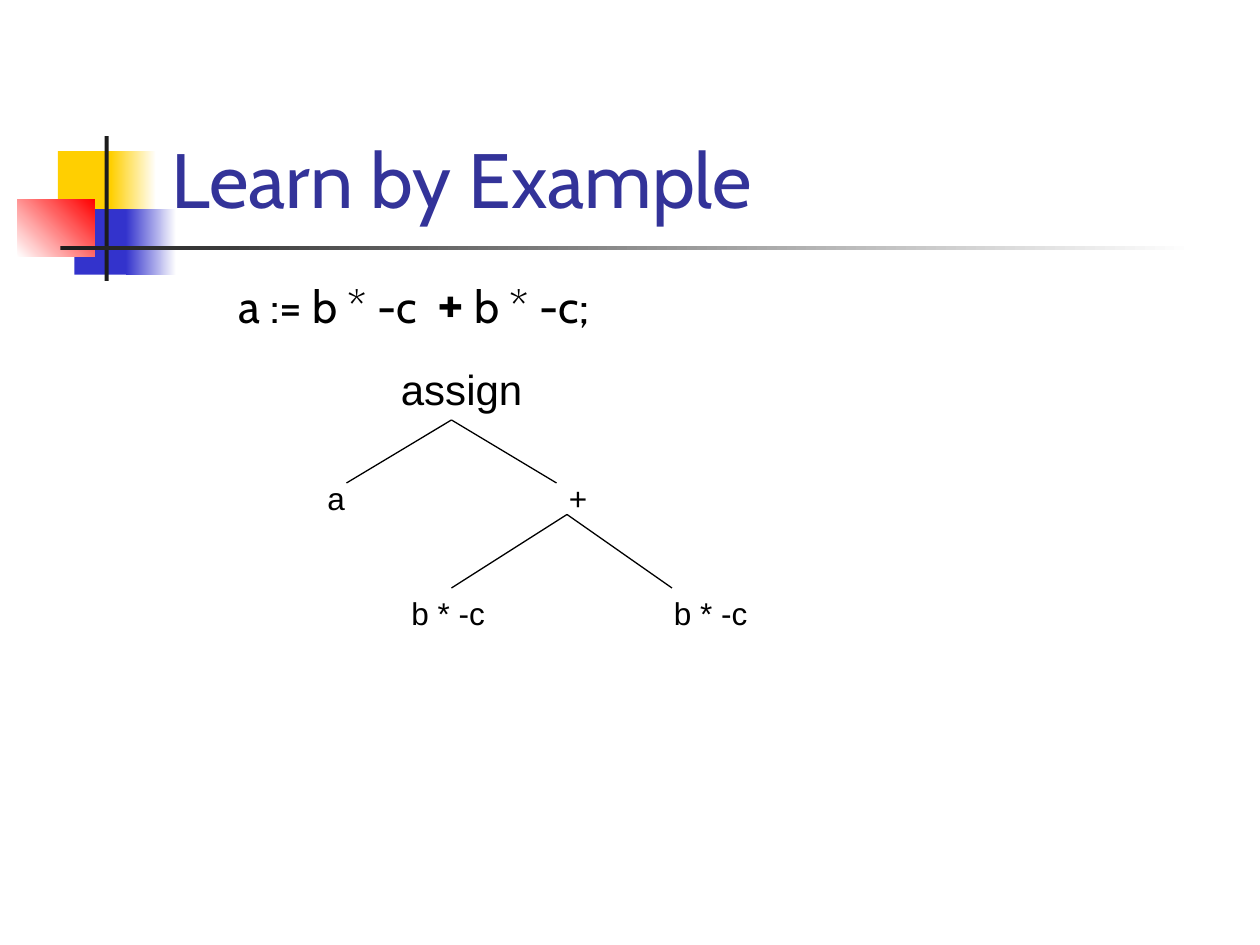
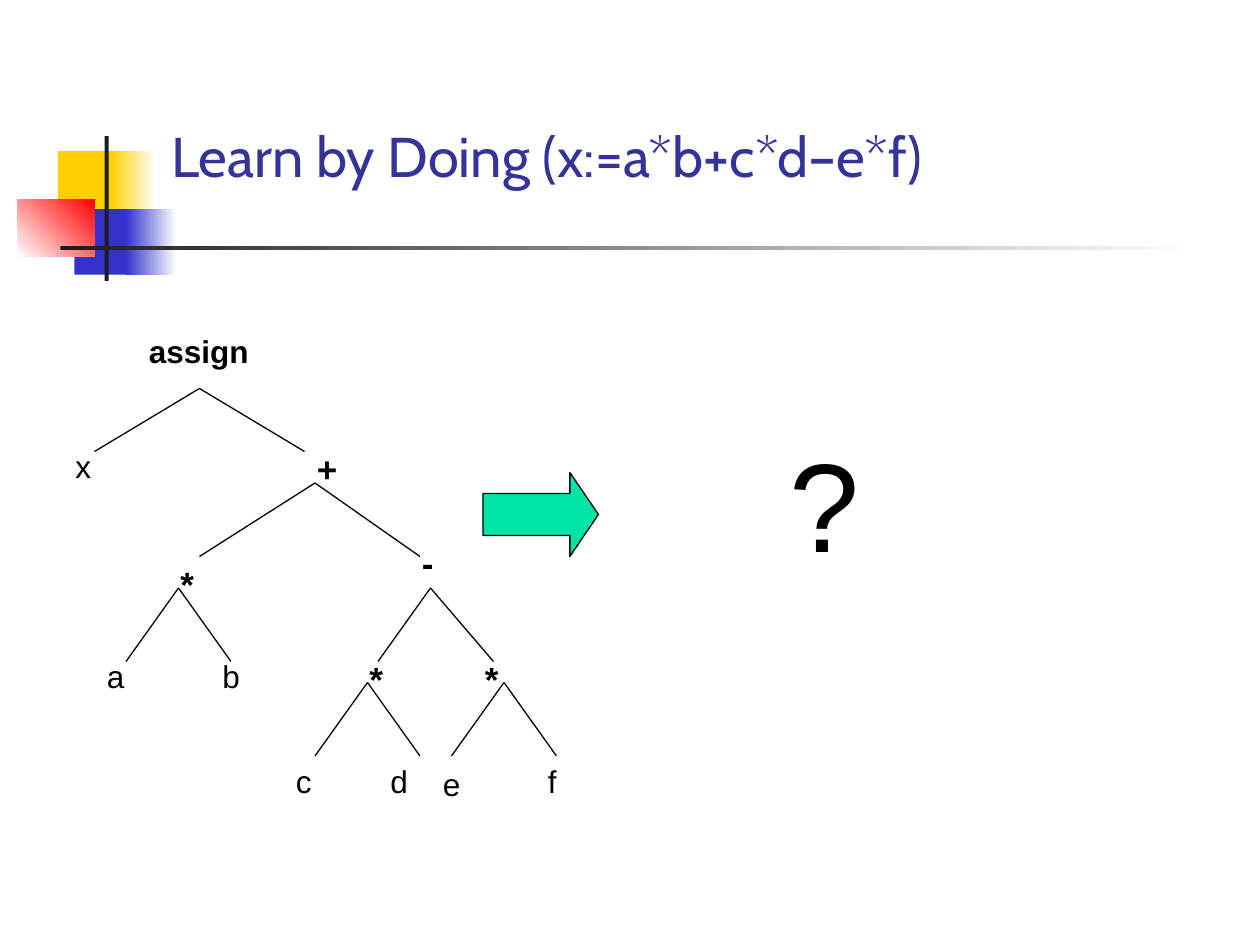
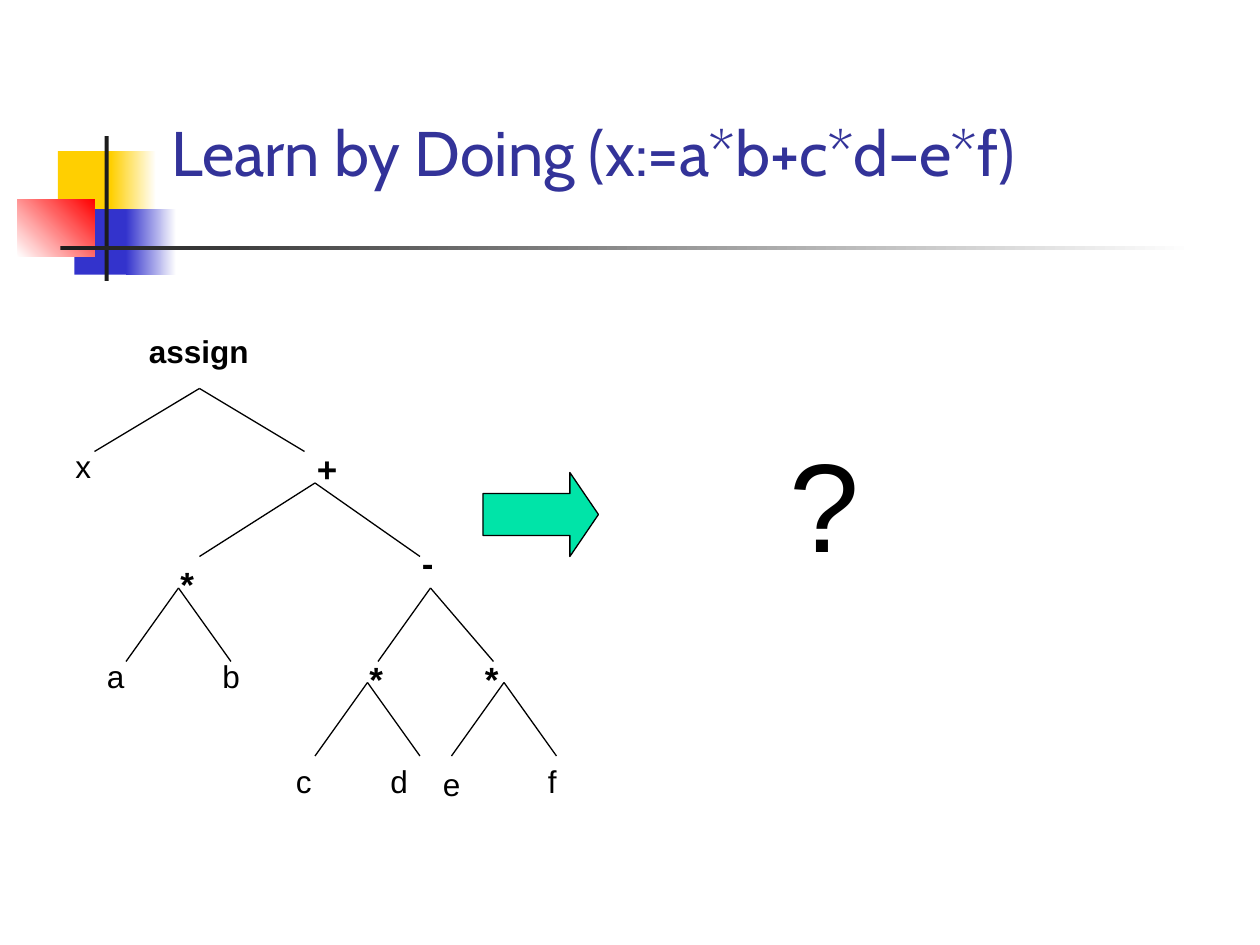
from dataclasses import dataclass

from lxml import etree
from pptx import Presentation
from pptx.dml.color import RGBColor
from pptx.enum.shapes import MSO_CONNECTOR, MSO_SHAPE
from pptx.enum.text import MSO_ANCHOR, MSO_AUTO_SIZE, PP_ALIGN
from pptx.oxml.ns import qn
from pptx.util import Inches, Pt

RECT = MSO_SHAPE.RECTANGLE
ARROW = MSO_SHAPE.RIGHT_ARROW
LINE = MSO_CONNECTOR.STRAIGHT
BOTTOM = MSO_ANCHOR.BOTTOM
GROW = MSO_AUTO_SIZE.SHAPE_TO_FIT_TEXT
FIXED = MSO_AUTO_SIZE.NONE
LEFT = PP_ALIGN.LEFT

WIDE, HIGH = Inches(10), Inches(7.5)
COLS = 120
CELL = WIDE / COLS


@dataclass(frozen=True)
class Theme:
    head: str = "Cabin"
    text: str = "Arial"
    ink: str = "000000"
    title: str = "333399"
    gold: str = "FFCF01"
    blue: str = "3333CC"
    red: str = "FF0000"
    dark: str = "1C1C1C"
    white: str = "FFFFFF"
    mint: str = "00E4A8"
    leaf: float = 18
    sign: float = 20
    root: float = 24
    code: float = 25.9
    plus: float = 33.3
    mark: float = 72
    thin: float = 0.75


THEME = Theme()

BANDS = [
    (3.84, 1.44, 5.76, 6.24, [THEME.gold], 0),
    (8.88, 1.44, 4.32, 6.24, [THEME.gold, THEME.white], 0),
    (5.4, 6.96, 5.52, 6.24, [THEME.blue], 0),
    (10.32, 6.96, 4.8, 6.24, [THEME.blue, THEME.white], 0),
    (0, 6, 7.32, 5.52, [THEME.white, THEME.red], 45),
    (8.28, 0, 0.4, 13.8, [THEME.dark], 0),
    (4.08, 10.44, 108, 0.4, [THEME.dark, THEME.white], 0),
]

TOP_FORKS = [(13, 6, 10, 10, 6), (24, 15, 11, 10, 7)]
SUB_FORKS = [(11, 25, 5, 5, 7), (35, 25, 5, 6, 7), (29, 34, 5, 5, 7), (42, 34, 5, 5, 7)]

SHORT_NODES = [
    ("assign", 7, 0, 16, THEME.root, False),
    ("a", 0, 11, 4, THEME.leaf, False),
    ("+", 23, 11, 5, THEME.leaf, False),
    ("b * -c", 8, 22, 11, THEME.leaf, False),
    ("b * -c", 33, 22, 10, THEME.leaf, False),
]
LONG_NODES = [
    ("assign", 7, 0, 13, THEME.leaf, True),
    ("x", 0, 11, 4, THEME.leaf, False),
    ("+", 23, 11, 5, THEME.sign, True),
    ("*", 10, 22, 6, THEME.sign, True),
    ("-", 33, 20, 10, THEME.sign, True),
    ("a", 3, 31, 5, THEME.leaf, False),
    ("b", 14, 31, 4, THEME.leaf, False),
    ("*", 28, 31, 5, THEME.sign, True),
    ("*", 39, 31, 4, THEME.sign, True),
    ("c", 21, 41, 4, THEME.leaf, False),
    ("d", 30, 41, 4, THEME.leaf, False),
    ("e", 35, 41.25, 4, THEME.leaf, False),
    ("f", 45, 41, 4, THEME.leaf, False),
]


def cells(*nums):
    return [round(num * CELL) for num in nums]


def style(font, name, size, color, bold=False):
    font.name, font.size, font.bold = name, Pt(size), bold
    font.color.rgb = RGBColor.from_string(color)


def paint(shape, tones, angle=0):
    shape.shadow.inherit = False
    fill = shape.fill
    if len(tones) == 1:
        fill.solid()
        fill.fore_color.rgb = RGBColor.from_string(tones[0])
        return
    fill.gradient()
    fill.gradient_angle = angle
    for stop, tone in zip(fill.gradient_stops, tones):
        stop.color.rgb = RGBColor.from_string(tone)


def outline(line):
    line.color.rgb = RGBColor.from_string(THEME.ink)
    line.width = Pt(THEME.thin)


def add_bands(slide, col, row):
    tree = slide.slide_layout.shapes.element
    for num, (x, y, wide, high, tones, angle) in enumerate(BANDS):
        band = slide.shapes.add_shape(RECT, *cells(col + x, row + y, wide, high))
        paint(band, tones, angle)
        band.line.fill.background()
        band.element.nvSpPr.cNvPr.set("id", str(100 + num))
        tree.insert(2 + num, band.element)


def add_title(slide, text, size, high):
    title = slide.shapes.title
    title.left, title.top, title.width, title.height = cells(15.12, 2.76, 102.24, high)
    frame = title.text_frame
    frame.text = text
    frame.auto_size = FIXED
    frame.vertical_anchor = BOTTOM
    para = frame.paragraphs[0]
    para.alignment = LEFT
    style(para.font, THEME.head, size, THEME.title)


def add_label(shapes, text, col, row, wide, size, bold=False):
    high = (size * 1.2 + 7.2) / 6
    frame = shapes.add_textbox(*cells(col, row, wide, high)).text_frame
    frame.word_wrap = True
    frame.auto_size = GROW
    para = frame.paragraphs[0]
    para.text = text
    style(para.font, THEME.text, size, THEME.ink, bold)


def add_fork(shapes, col, row, left, right, drop):
    for step in (-left, right):
        edge = shapes.add_connector(LINE, *cells(col, row, col + step, row + drop))
        outline(edge.line)
        etree.SubElement(edge.element.spPr, qn("a:effectLst"))


def add_tree(slide, col, row, nodes, forks):
    shapes = slide.shapes.add_group_shape().shapes
    for text, x, y, wide, size, bold in nodes:
        add_label(shapes, text, col + x, row + y, wide, size, bold)
    for x, y, *arms in forks:
        add_fork(shapes, col + x, row + y, *arms)


def add_code(slide, col, row, wide, high):
    frame = slide.shapes.add_textbox(*cells(col, row, wide, high)).text_frame
    frame.word_wrap = True
    para = frame.paragraphs[0]
    para.line_spacing = 0.7
    props = para._p.get_or_add_pPr()
    props.set("marL", str(Inches(0.81)))
    props.set("indent", str(Inches(-0.31)))
    parts = [("a := b * -c  ", THEME.code, False), ("+", THEME.plus, True),
             (" b * -c;", THEME.code, False)]
    for text, size, bold in parts:
        run = para.add_run()
        run.text = text
        style(run.font, THEME.head, size, THEME.ink, bold)


def add_quiz(slide, col, row):
    arrow = slide.shapes.add_shape(ARROW, *cells(col, row + 5, 11, 8))
    arrow.adjustments[0], arrow.adjustments[1] = 0.5, 0.34
    paint(arrow, [THEME.mint])
    outline(arrow.line)
    add_label(slide.shapes, "?", col + 28, row, 12, THEME.mark)


def build_example(slide):
    add_title(slide, "Learn by Example", 44, 19.2)
    add_code(slide, 15.5, 26.5, 101, 6.4)
    add_tree(slide, 30, 34, SHORT_NODES, TOP_FORKS)


def build_task(slide, size):
    add_title(slide, "Learn by Doing (x:=a*b+c*d–e*f)", size, 15.84)
    add_tree(slide, 6, 31, LONG_NODES, TOP_FORKS + SUB_FORKS)
    add_quiz(slide, 46, 40)


def main():
    deck = Presentation()
    deck.slide_width, deck.slide_height = WIDE, HIGH
    layout = deck.slide_layouts[5]
    first = deck.slides.add_slide(layout)
    add_bands(first, 1.68, 12.96)
    build_example(first)
    for size in (32, 36):
        build_task(deck.slides.add_slide(layout), size)
    deck.save("out.pptx")


if __name__ == "__main__":
    main()
